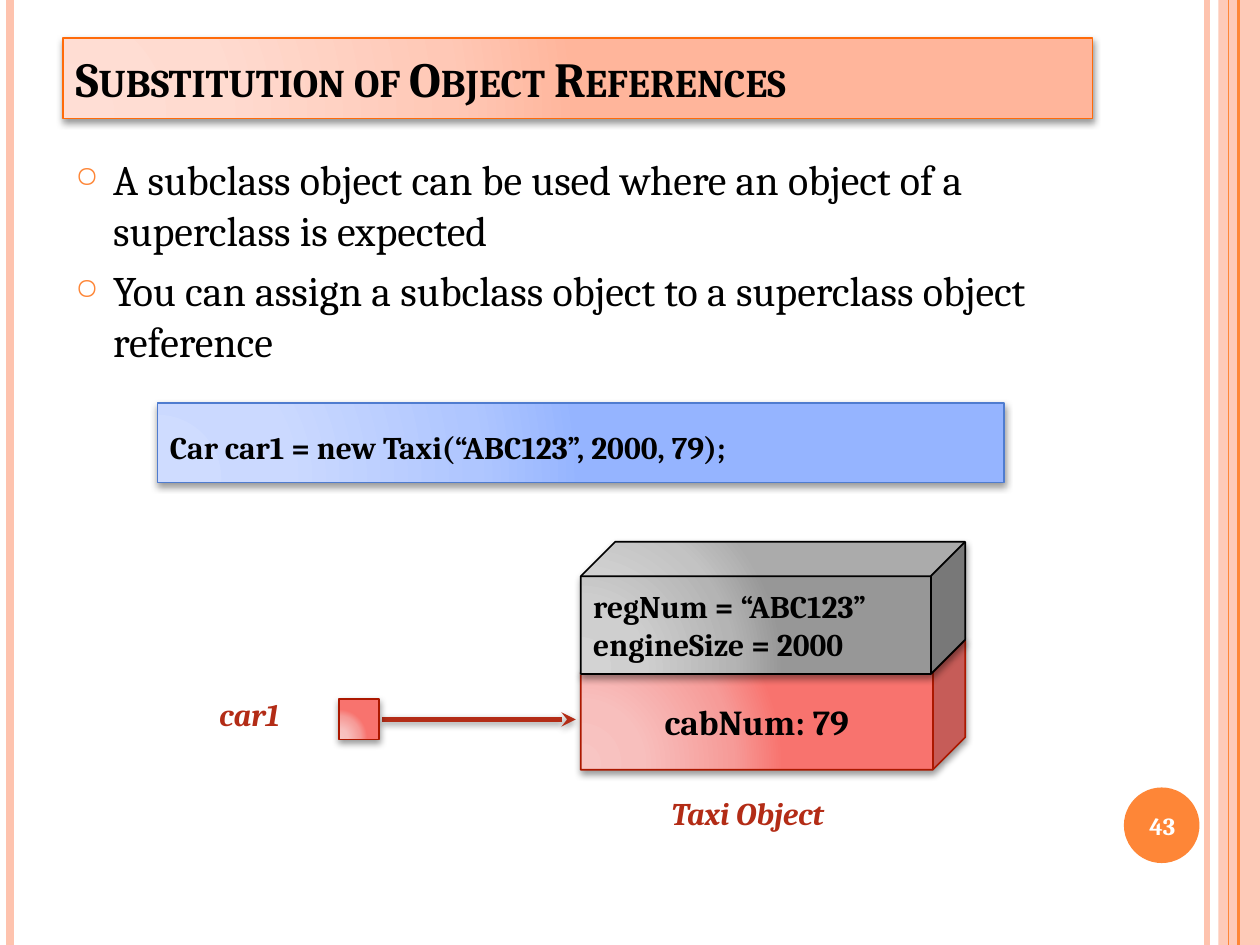
from lxml import etree
from pptx import Presentation
from pptx.dml.color import RGBColor
from pptx.enum.shapes import MSO_CONNECTOR, MSO_SHAPE
from pptx.enum.text import MSO_ANCHOR, MSO_AUTO_SIZE, PP_ALIGN
from pptx.oxml.ns import qn
from pptx.util import Inches, Pt

LEFT, CENTER = PP_ALIGN.LEFT, PP_ALIGN.CENTER
TOP, MIDDLE = MSO_ANCHOR.TOP, MSO_ANCHOR.MIDDLE
RECTANGLE, OVAL, CUBE = MSO_SHAPE.RECTANGLE, MSO_SHAPE.OVAL, MSO_SHAPE.CUBE
STRAIGHT = MSO_CONNECTOR.STRAIGHT
TITLE_ONLY = 5

COLORS = {"peach": "FEC3AE", "orange": "FE8637", "black": "000000", "white": "FFFFFF",
          "title line": "FF6B0A", "code line": "4F7CCF", "red line": "AC1800",
          "brick": "B32C16"}
GRADIENTS = {"title": ["FFDED5", "FFDBD0", "FFC8B6", "FFB59B"],
             "code": ["CFDCFF", "CBD9FF", "AFC6FF", "95B4FF"],
             "red": ["F8C5C3", "F8BFBD", "F69B98", "F8736E"],
             "gray": ["D3D3D3", "CFCFCF", "B4B4B4", "979797"]}
GRADIENT_STOPS = [0, 30, 75, 100]


def add_child(parent, tag, **attributes):
    values = {name: str(value) for name, value in attributes.items()}
    return etree.SubElement(parent, qn(tag), values)


def write_text(shape, lines, size, color="black", align=LEFT, anchor=TOP, wrap=True, **font):
    frame = shape.text_frame
    frame.text = "\n".join(lines)
    settings = {"word_wrap": wrap, "vertical_anchor": anchor, "auto_size": MSO_AUTO_SIZE.NONE}
    for name, value in settings.items():
        setattr(frame, name, value)
    for paragraph in frame.paragraphs:
        paragraph.alignment = align
        run_font = paragraph.runs[0].font
        for name, value in {"name": "Cambria", "size": Pt(size), **font}.items():
            setattr(run_font, name, value)
        run_font.color.rgb = RGBColor.from_string(COLORS[color])
    return frame.paragraphs


presentation = Presentation()
presentation.slide_width, presentation.slide_height = Inches(10), Inches(7.5)
slide = presentation.slides.add_slide(presentation.slide_layouts[TITLE_ONLY])
shapes = slide.shapes
title = shapes.title

# Side stripes, slide number disc and reference arrow
band = shapes.add_shape(RECTANGLE, Inches(9.67), 0, Inches(0.33), Inches(7.5))
disc = shapes.add_shape(OVAL, Inches(8.92), Inches(6.25), Inches(0.6), Inches(0.6))
for shape, color in [(band, "peach"), (disc, "orange")]:
    shape.shadow.inherit = False
    shape.fill.solid()
    shape.fill.fore_color.rgb = RGBColor.from_string(COLORS[color])
    shape.line.fill.background()
add_child(band.element.spPr.find(qn("a:solidFill"))[0], "a:alpha", val=87000)

for start, end, color, width in [
    ((9.58, 0), (9.58, 7.5), "peach", 3),
    ((0.08, 0), (0.08, 7.5), "peach", 4.5),
    ((9.83, 0), (9.83, 7.5), "orange", 1.5),
    ((9.75, 0), (9.75, 7.5), "orange", 0.75),
    ((3.03, 5.71), (4.57, 5.71), "brick", 2.75),
]:
    line = shapes.add_connector(STRAIGHT, *[Inches(value) for value in start + end])
    line.line.color.rgb = RGBColor.from_string(COLORS[color])
    line.line.width = Pt(width)
    effects = add_child(line.element.spPr, "a:effectLst")
    if color == "brick":
        add_child(line.line._get_or_add_ln(), "a:tailEnd", type="stealth")
        shadow = add_child(effects, "a:outerShdw", blurRad=Pt(4), dist=Pt(1.6), dir=5400000)
        add_child(add_child(shadow, "a:srgbClr", val=COLORS["black"]), "a:alpha", val=42000)

# Shaded boxes: title bar, code line, object parts and reference cell
title.left, title.top, title.width, title.height = [
    Inches(value) for value in (0.5, 0.3, 8.17, 0.64)]
code, taxi_part, car_part, reference = [
    shapes.add_shape(kind, *[Inches(value) for value in place])
    for kind, place in [
        (RECTANGLE, (1.25, 3.2, 6.72, 0.63)),
        (CUBE, (4.61, 5.08, 3.05, 1.03)),
        (CUBE, (4.61, 4.3, 3.05, 1.05)),
        (RECTANGLE, (2.69, 5.55, 0.32, 0.32)),
    ]]
car_part.adjustments[0] = 0.26

for shape, gradient_name, line_color in [
    (title, "title", "title line"), (code, "code", "code line"),
    (taxi_part, "red", "red line"), (car_part, "gray", "black"),
    (reference, "red", "red line"),
]:
    shape.fill.gradient()
    shape.line.color.rgb = RGBColor.from_string(COLORS[line_color])
    shape.line.width = Pt(1)
    shape.shadow.inherit = False
    properties = shape.element.spPr
    gradient = properties.find(qn("a:gradFill"))
    for child in list(gradient):
        gradient.remove(child)
    stops = add_child(gradient, "a:gsLst")
    for position, color in zip(GRADIENT_STOPS, GRADIENTS[gradient_name]):
        add_child(add_child(stops, "a:gs", pos=position * 1000), "a:srgbClr", val=color)
    circle = add_child(gradient, "a:path", path="circle")
    add_child(circle, "a:fillToRect", l=5000, t=100000, r=120000, b=10000)
    shadow = add_child(properties.find(qn("a:effectLst")), "a:outerShdw",
                       blurRad=Pt(4), dist=Pt(2), dir=5400000, rotWithShape=0)
    add_child(add_child(shadow, "a:srgbClr", val=COLORS["black"]), "a:alpha", val=40000)

# Text in the boxes
heading = write_text(title, ["Substitution of Object References"], 28, anchor=MIDDLE, bold=True)
heading[0].runs[0].font._element.set("cap", "small")
statement = write_text(code, ["Car car1 = new Taxi(“ABC123”, 2000, 79);"], 18, bold=True)
statement[0].line_spacing = 1.5
write_text(taxi_part, ["cabNum: 79"], 20, align=CENTER, anchor=MIDDLE, wrap=False, bold=True)
write_text(car_part, ["regNum = “ABC123”", "engineSize = 2000"], 18,
           anchor=MIDDLE, wrap=False, bold=True)

# Bullets
body = shapes.add_textbox(Inches(0.5), Inches(1.17), Inches(8.17), Inches(5.91))
for paragraph in write_text(body, [
    "A subclass object can be used where an object of a superclass is expected",
    "You can assign a subclass object to a superclass object reference",
], 24):
    paragraph.space_before = Pt(6)
    properties = paragraph._p.get_or_add_pPr()
    properties.set("marL", str(Inches(0.3)))
    properties.set("indent", str(-Inches(0.3)))
    add_child(add_child(properties, "a:buClr"), "a:srgbClr", val=COLORS["orange"])
    add_child(properties, "a:buSzPct", val=70000)
    add_child(properties, "a:buChar", char="○")

# Labels and slide number
for place, text, size, format_values in [
    ((5.23, 6.25, 1.71, 0.4), "Taxi Object", 18, {"color": "brick", "italic": True, "wrap": False}),
    ((1.64, 5.47, 0.78, 0.4), "car1", 18, {"color": "brick", "italic": True, "wrap": False}),
    ((8.89, 6.27, 0.67, 0.57), "43", 14, {"color": "white", "align": CENTER, "anchor": MIDDLE}),
]:
    label = shapes.add_textbox(*[Inches(value) for value in place])
    write_text(label, [text], size, bold=True, **format_values)

presentation.save("out.pptx")
